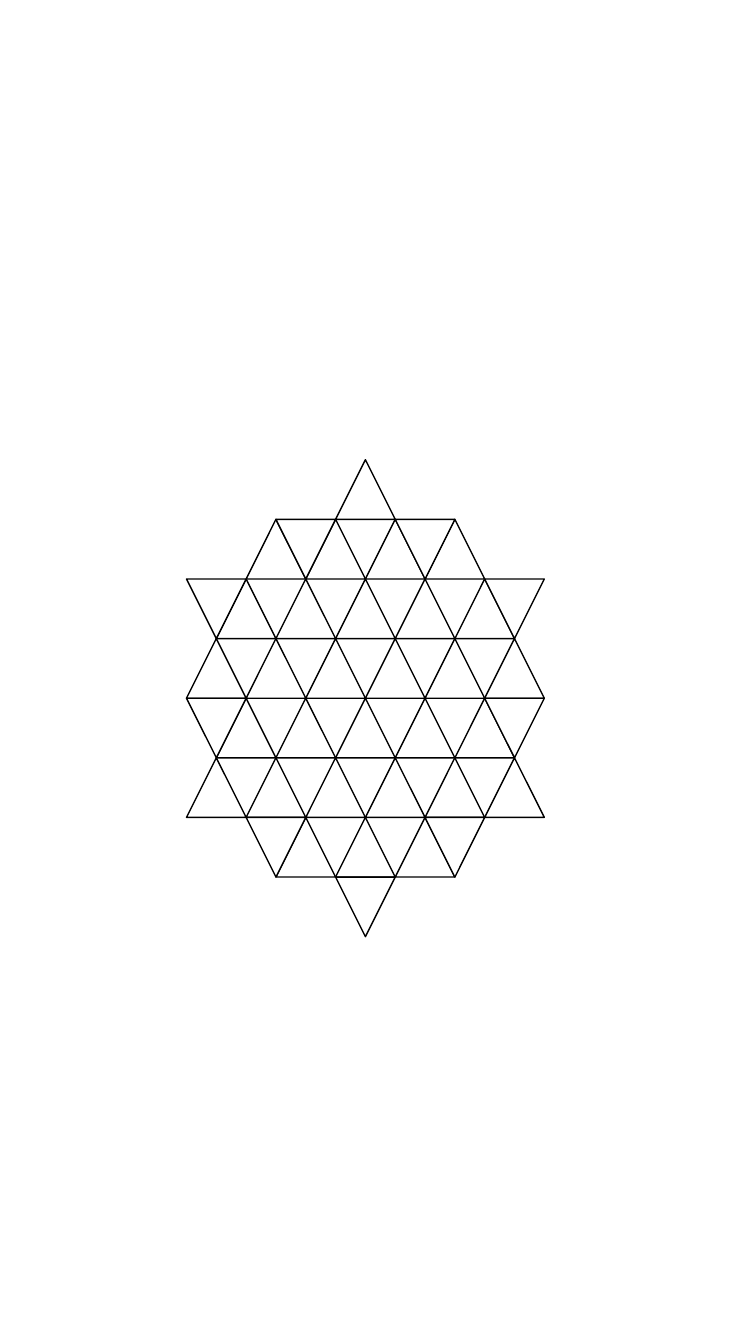
import pptx
import pptx.util
import pptx.dml.color
import pptx.enum.shapes

COLORS = {"paper": "FFFFFF", "ink": "000000"}
SLIDE_WIDTH, SLIDE_HEIGHT = 7.5, 13.33
STAR_BOX = (1.85, 4.56, 3.55, 4.73)
COLUMNS = 6
UPRIGHT_COUNTS = [1, 4, 5, 6, 5, 6, 3, 0]
INVERTED_OFFSETS = {1: [-1, 1], 2: [-2.5, 2.5], 4: [-2.5, 2.5], 6: [-1.5, 1.5], 7: [0]}


def color(name):
    return pptx.dml.color.RGBColor.from_string(COLORS[name])


def add_triangle(slide, left, top, width, height, rotation):
    triangle = slide.shapes.add_shape(
        pptx.enum.shapes.MSO_SHAPE.ISOSCELES_TRIANGLE,
        *(pptx.util.Inches(length) for length in (left, top, width, height)),
    )
    triangle.rotation = rotation
    triangle.shadow.inherit = False
    triangle.fill.solid()
    triangle.fill.fore_color.rgb = color("paper")
    triangle.line.color.rgb = color("ink")
    triangle.line.width = pptx.util.Pt(1)


def add_star(slide, box):
    left, top, width, height = box
    cell_width = width / COLUMNS
    cell_height = height / len(UPRIGHT_COUNTS)
    middle = left + (width - cell_width) / 2
    for row, count in enumerate(UPRIGHT_COUNTS):
        upright_offsets = [index - (count - 1) / 2 for index in range(count)]
        inverted_offsets = INVERTED_OFFSETS.get(row, [])
        for rotation, offsets in ((0, upright_offsets), (180, inverted_offsets)):
            for offset in offsets:
                add_triangle(slide, middle + offset * cell_width, top + row * cell_height,
                             cell_width, cell_height, rotation)


def main():
    presentation = pptx.Presentation()
    presentation.slide_width = pptx.util.Inches(SLIDE_WIDTH)
    presentation.slide_height = pptx.util.Inches(SLIDE_HEIGHT)
    slide = presentation.slides.add_slide(presentation.slide_layouts[6])
    slide.background.fill.solid()
    slide.background.fill.fore_color.rgb = color("paper")
    add_star(slide, STAR_BOX)
    presentation.save("out.pptx")


if __name__ == "__main__":
    main()
